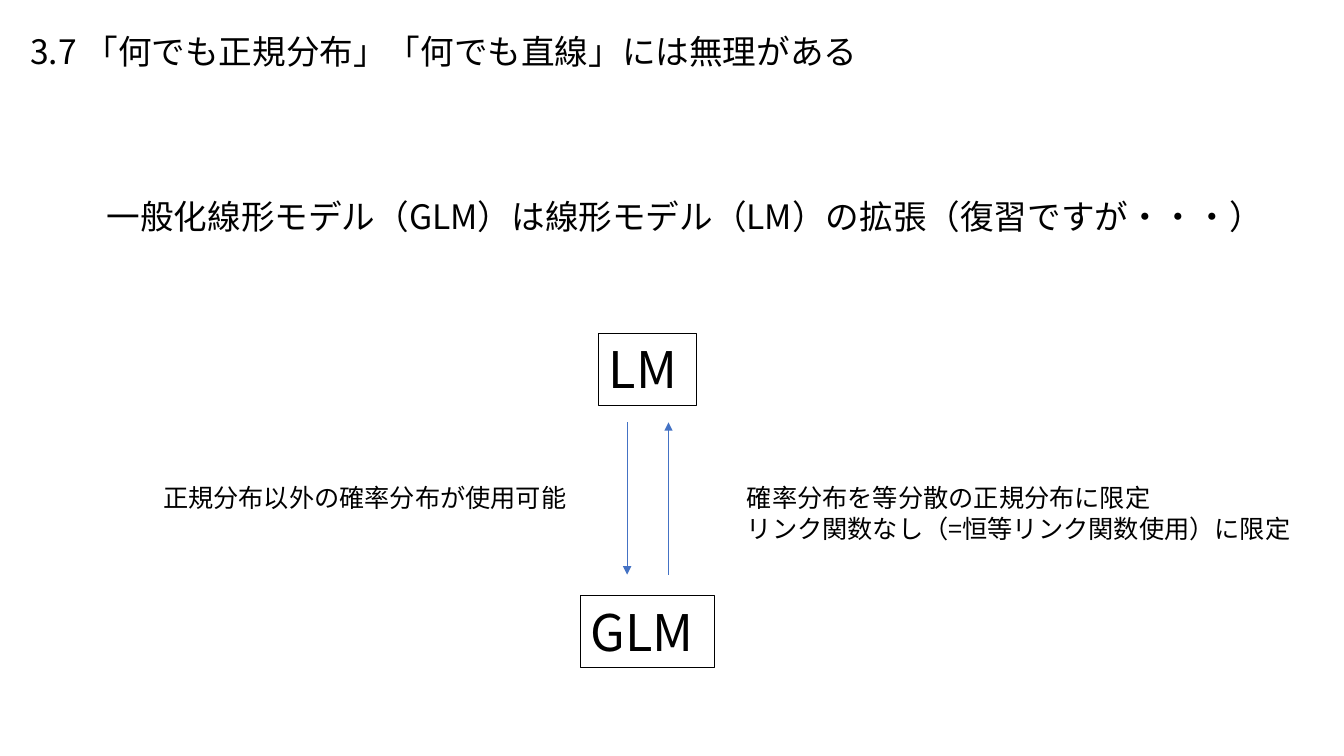
from dataclasses import dataclass

from lxml.etree import SubElement
from pptx import Presentation
from pptx.dml.color import RGBColor
from pptx.enum.shapes import MSO_CONNECTOR as Connector, MSO_SHAPE as Shape
from pptx.enum.text import MSO_ANCHOR as Anchor, MSO_AUTO_SIZE as AutoSize, PP_ALIGN as Align
from pptx.oxml.ns import qn
from pptx.util import Inches, Pt

WIDTH, HEIGHT = Inches(13.33), Inches(7.5)
TITLE_ONLY = 5


@dataclass(frozen=True)
class Theme:
    font: str = "Noto Sans CJK JP"
    ink: RGBColor = RGBColor(0x00, 0x00, 0x00)
    arrow: RGBColor = RGBColor(0x44, 0x72, 0xC4)
    heading: Pt = Pt(24)
    model: Pt = Pt(36)
    note: Pt = Pt(18)
    border: Pt = Pt(0.75)
    arrow_line: Pt = Pt(0.5)


THEME = Theme()


# Lengths are percentages of the slide's width and height
def across(share):
    return round(WIDTH * share / 100)


def down(share):
    return round(HEIGHT * share / 100)


def area(left, top, width, height):
    return across(left), down(top), across(width), down(height)


def write(frame, text, size):
    frame.text = text
    for paragraph in frame.paragraphs:
        paragraph.alignment = Align.LEFT
        for run in paragraph.runs:
            run.font.name = THEME.font
            run.font.size = size
            run.font.color.rgb = THEME.ink
            east_asian = SubElement(run.font._element, qn("a:ea"))
            east_asian.set("typeface", THEME.font)


def set_title(slide, text, place):
    title = slide.shapes.title
    title.left, title.top, title.width, title.height = place
    frame = title.text_frame
    write(frame, text, THEME.heading)
    frame.vertical_anchor = Anchor.MIDDLE
    frame.auto_size = AutoSize.NONE
    frame.paragraphs[0].line_spacing = 0.9


def add_label(slide, text, place, size):
    frame = slide.shapes.add_textbox(*place).text_frame
    write(frame, text, size)
    frame.word_wrap = False
    frame.auto_size = AutoSize.SHAPE_TO_FIT_TEXT


def add_model(slide, text, center, top, width):
    model = slide.shapes.add_shape(
        Shape.RECTANGLE, *area(center - width / 2, top, width, 9.47))
    model.shadow.inherit = False
    model.fill.background()
    model.line.color.rgb = THEME.ink
    model.line.width = THEME.border
    frame = model.text_frame
    write(frame, text, THEME.model)
    frame.vertical_anchor = Anchor.TOP
    frame.word_wrap = False
    frame.auto_size = AutoSize.SHAPE_TO_FIT_TEXT


def add_arrow(slide, x, start, end):
    arrow = slide.shapes.add_connector(
        Connector.STRAIGHT, across(x), down(start), across(x), down(end))
    arrow.line.color.rgb = THEME.arrow
    arrow.line.width = THEME.arrow_line
    SubElement(arrow.line._get_or_add_ln(), qn("a:tailEnd")).set("type", "triangle")
    SubElement(arrow._element.spPr, qn("a:effectLst"))


def main():
    deck = Presentation()
    deck.slide_width, deck.slide_height = WIDTH, HEIGHT
    slide = deck.slides.add_slide(deck.slide_layouts[TITLE_ONLY])

    # Heading and main statement
    set_title(slide, "3.7 「何でも正規分布」「何でも直線」には無理がある",
              area(1.5, 1.2, 75, 11.73))
    add_label(slide, "一般化線形モデル（GLM）は線形モデル（LM）の拡張（復習ですが・・・）",
              area(7.2, 25.2, 89.27, 6.67), THEME.heading)

    # The two models, on one vertical axis
    axis = 48.2
    add_model(slide, "GLM", axis, 78.8, 9.98)
    add_model(slide, "LM", axis, 44.13, 7.28)

    # Arrows between the models, either side of the axis
    upper, lower, offset = 55.87, 76, 1.54
    add_arrow(slide, axis - offset, upper, lower)
    add_arrow(slide, axis + offset, lower, upper)

    # What each direction means
    notes_top = 63.2
    add_label(slide, "正規分布以外の確率分布が使用可能",
              area(11.4, notes_top, 31.81, 5.33), THEME.note)
    add_label(slide, "確率分布を等分散の正規分布に限定\nリンク関数なし（=恒等リンク関数使用）に限定",
              area(54.84, notes_top, 42.69, 9.47), THEME.note)

    deck.save("out.pptx")


if __name__ == "__main__":
    main()
